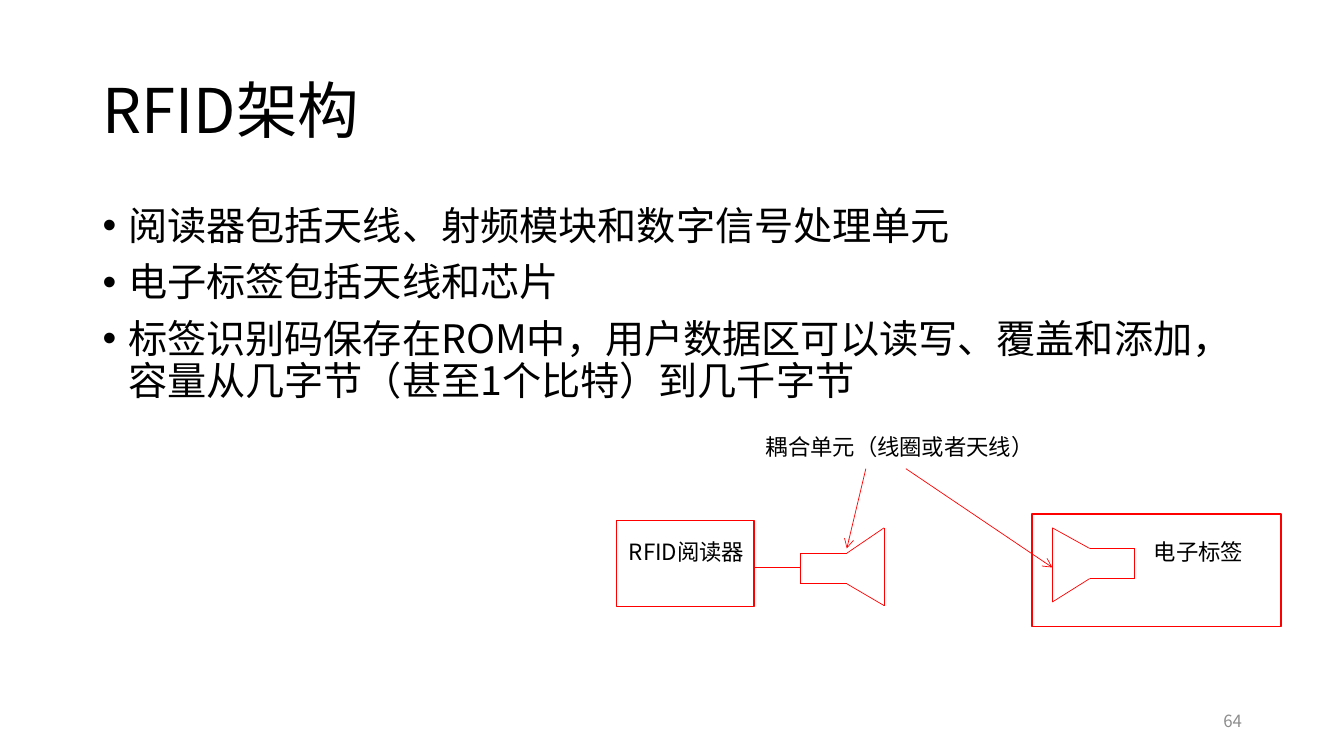
from dataclasses import dataclass
from itertools import pairwise

from lxml import etree
from pptx import Presentation
from pptx import util as u
from pptx.dml.color import RGBColor
from pptx.enum import shapes, text
from pptx.oxml import ns

BLACK = RGBColor(0x00, 0x00, 0x00)
GRAY = RGBColor(0x8C, 0x8C, 0x8C)
RED = RGBColor(0xFF, 0x00, 0x00)
WHITE = RGBColor(0xFF, 0xFF, 0xFF)
FONT = "Noto Sans CJK SC"

Point = tuple[float, float]
Rect = tuple[float, float, float, float]  # left, top, width, height in cm


@dataclass(frozen=True)
class Label:
    area: Rect
    lines: tuple[str, ...]
    size: float = 16
    color: RGBColor = BLACK
    align: text.PP_ALIGN = text.PP_ALIGN.JUSTIFY
    anchor: text.MSO_ANCHOR = text.MSO_ANCHOR.TOP
    pitch: float = 1.0
    bullet: bool = False


@dataclass(frozen=True)
class Box:
    area: Rect
    fill: RGBColor | None = None
    line: RGBColor | None = None


@dataclass(frozen=True)
class Horn:
    """Antenna outline: a neck from back to bend, flaring to the mouth."""
    back: float
    bend: float
    mouth: float
    neck: Point   # upper and lower y
    flare: Point  # upper and lower y

    def edge(self) -> list[Point]:
        (top, low), (high, deep) = self.neck, self.flare
        return [(self.back, top), (self.bend, top), (self.mouth, high),
                (self.mouth, deep), (self.bend, low), (self.back, low),
                (self.back, top)]


@dataclass(frozen=True)
class Link:
    start: Point
    end: Point
    arrow: bool = False


LEFT = text.PP_ALIGN.LEFT
MIDDLE = text.MSO_ANCHOR.MIDDLE

TEXTS = (
    Label((2.34, 1.02, 29.21, 3.68), ("RFID架构",), 44,
          align=LEFT, anchor=MIDDLE, pitch=0.9),
    Label((23.93, 17.65, 7.62, 1.02), ("64",), 12, GRAY,
          align=text.PP_ALIGN.RIGHT, anchor=MIDDLE),
    Label((2.34, 5.08, 29.21, 12.09),
          ("阅读器包括天线、射频模块和数字信号处理单元",
           "电子标签包括天线和芯片",
           "标签识别码保存在ROM中，用户数据区可以读写、覆盖和添加，"
           "容量从几字节（甚至1个比特）到几千字节"),
          28, align=LEFT, pitch=0.9, bullet=True),
)
READER = Box((15.54, 13.11, 3.46, 2.18), WHITE, RED)
NAMES = (
    Label((15.6, 13.44, 3.96, 1.55), ("RFID阅读器",)),
    Label((28.83, 13.44, 3.33, 1.78), ("电子标签",)),
)
HORNS = (
    Horn(28.58, 27.46, 26.52, (13.82, 14.58), (13.3, 15.17)),
    Horn(20.18, 21.34, 22.28, (13.94, 14.71), (13.3, 15.26)),
)
WIRE = Link((19, 14.3), (20.18, 14.3))
PLATE = Box((19.05, 10.8, 8.46, 2.18), WHITE)
CAPTION = Label(PLATE.area, ("耦合单元（线圈或者天线）",))
ARROWS = (
    Link((21.82, 11.81), (21.34, 13.82), True),
    Link((22.83, 11.81), (26.52, 14.3), True),
)
TAG = Box((26.01, 12.95, 6.27, 2.84), line=RED)


def add_label(slide, label: Label) -> None:
    frame = slide.shapes.add_textbox(*map(u.Cm, label.area)).text_frame
    frame.word_wrap = True
    frame.vertical_anchor = label.anchor
    for i, line in enumerate(label.lines):
        para = frame.add_paragraph() if i else frame.paragraphs[0]
        para.alignment = label.align
        para.line_spacing = label.pitch
        if i:
            para.space_before = u.Pt(10)
        if label.bullet:
            add_bullet(para)
        run = para.add_run()
        run.text = line
        run.font.size = u.Pt(label.size)
        run.font.color.rgb = label.color
        run.font.name = FONT
        etree.SubElement(run.font._element, ns.qn("a:ea"), typeface=FONT)


def add_bullet(para) -> None:
    props = para._p.get_or_add_pPr()
    indent = u.Cm(0.64)
    props.set("marL", str(indent))
    props.set("indent", str(-indent))
    etree.SubElement(props, ns.qn("a:buFont"), typeface="Arial")
    etree.SubElement(props, ns.qn("a:buChar"), char="•")


def add_box(slide, box: Box) -> None:
    shape = slide.shapes.add_shape(
        shapes.MSO_SHAPE.RECTANGLE, *map(u.Cm, box.area))
    shape.shadow.inherit = False
    if box.fill is None:
        shape.fill.background()
    else:
        shape.fill.solid()
        shape.fill.fore_color.rgb = box.fill
    if box.line is None:
        shape.line.fill.background()
    else:
        shape.line.color.rgb = box.line
        shape.line.width = u.Pt(1)


def add_link(slide, link: Link) -> None:
    line = slide.shapes.add_connector(
        shapes.MSO_CONNECTOR.STRAIGHT, *map(u.Cm, link.start + link.end))
    line.line.color.rgb = RED
    line.line.width = u.Pt(0.5)
    if link.arrow:
        etree.SubElement(line.line._get_or_add_ln(), ns.qn("a:tailEnd"),
                         type="arrow")
    etree.SubElement(line._element.spPr, ns.qn("a:effectLst"))


def main() -> None:
    deck = Presentation()
    deck.slide_width, deck.slide_height = u.Cm(33.87), u.Cm(19.05)
    slide = deck.slides.add_slide(deck.slide_layouts[6])

    for label in TEXTS:
        add_label(slide, label)
    add_box(slide, READER)
    for label in NAMES:
        add_label(slide, label)
    for horn in HORNS:
        for start, end in pairwise(horn.edge()):
            add_link(slide, Link(start, end))
    add_link(slide, WIRE)
    add_box(slide, PLATE)
    add_label(slide, CAPTION)
    for arrow in ARROWS:
        add_link(slide, arrow)
    add_box(slide, TAG)

    deck.save("out.pptx")


if __name__ == "__main__":
    main()
